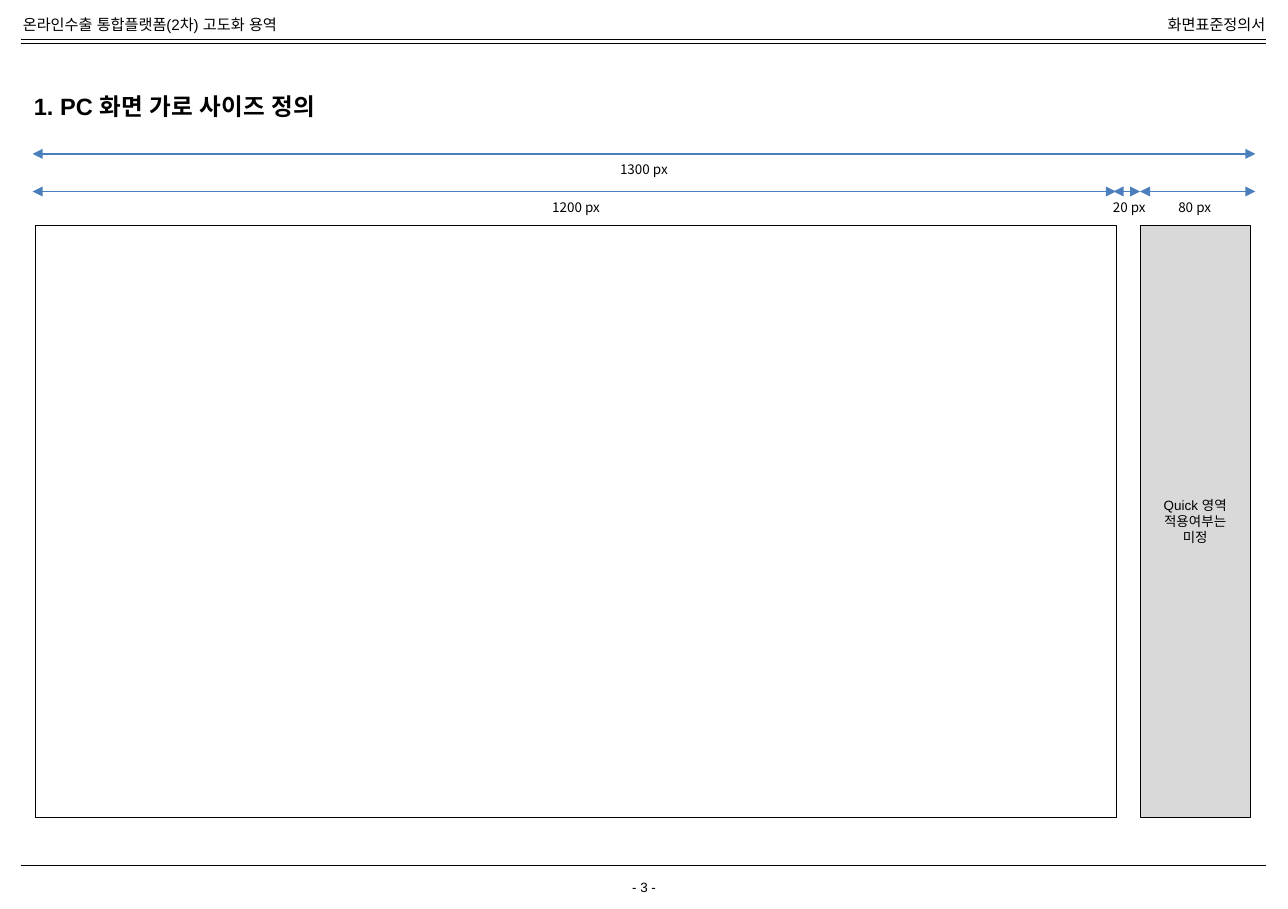
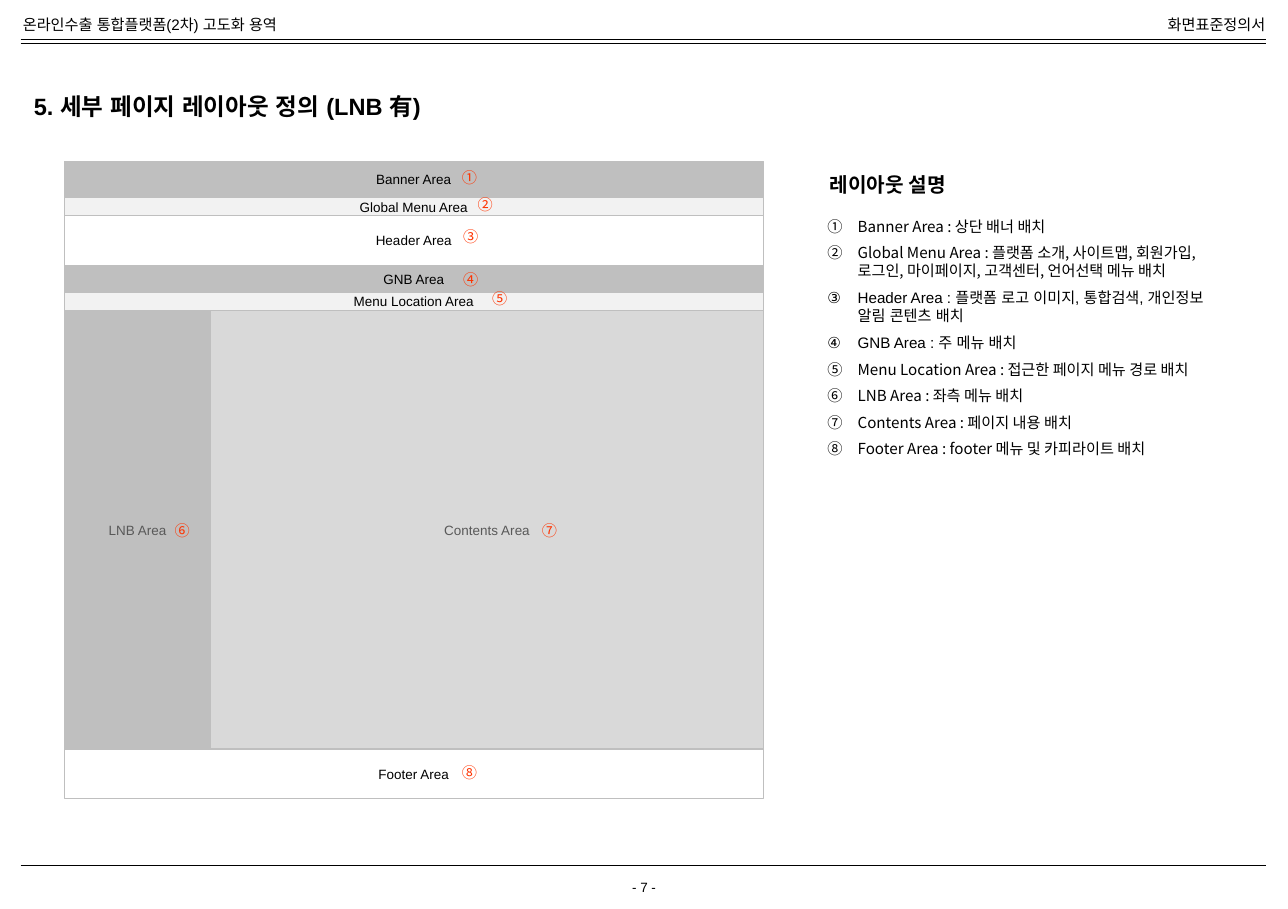
from dataclasses import dataclass
from itertools import accumulate
from typing import Any, Optional, Sequence

from lxml.etree import SubElement
from pptx import Presentation
from pptx.dml.color import RGBColor
from pptx.enum.shapes import MSO_CONNECTOR as Connector, MSO_SHAPE as Preset
from pptx.enum.text import MSO_ANCHOR as Anchor, MSO_AUTO_SIZE as AutoSize, PP_ALIGN as Align
from pptx.oxml.ns import qn
from pptx.util import Emu, Pt

EMU_PER_PX = 9144
ARIAL, NOTO = "Arial", "Noto Sans CJK KR"
BLACK, WHITE, BLUE, RED = "000000", "FFFFFF", "4B7EBC", "FF3300"
DARK, MIDDLE, PALE, MUTED = "BFBFBF", "D9D9D9", "F2F2F2", "595959"


@dataclass(frozen=True)
class Box:
    left: int
    top: int
    width: int
    height: int


@dataclass(frozen=True)
class TextStyle:
    size: int
    font: str = ARIAL
    color: str = BLACK
    bold: bool = False
    align: Align = Align.LEFT


@dataclass(frozen=True)
class Dimension:
    text: str
    start: int
    end: int
    y: int
    label_left: int
    label_width: int


@dataclass(frozen=True)
class Area:
    name: str
    box: Box
    fill: str
    mark: str
    mark_left: int
    mark_top: int
    color: str = BLACK


@dataclass(frozen=True)
class Note:
    text: str
    font: str = NOTO


HEADER = TextStyle(9)
HEADER_RIGHT = TextStyle(9, align=Align.RIGHT)
TITLE = TextStyle(14, bold=True)
CAPTION = TextStyle(8, align=Align.CENTER)
DIMENSION = TextStyle(8, NOTO, align=Align.CENTER)
MARK = TextStyle(9, NOTO, RED, align=Align.CENTER)
HEADING = TextStyle(12, NOTO, bold=True)

DIMENSIONS = (
    Dimension("1300 px", 27, 1036, 127, 501, 61),
    Dimension("1200 px", 27, 921, 158, 445, 61),
    Dimension("80 px", 941, 1036, 158, 962, 48),
    Dimension("20 px", 919, 941, 158, 908, 48),
)

PAGE_LEFT, PAGE_TOP, PAGE_WIDTH, MENU_WIDTH = 53, 133, 577, 121
ROW_HEIGHTS = (30, 15, 41, 22, 15, 362, 41)
ROW_TOPS = tuple(accumulate(ROW_HEIGHTS, initial=PAGE_TOP))


def row_box(row: int, offset: int = 0, width: int = PAGE_WIDTH) -> Box:
    return Box(PAGE_LEFT + offset, ROW_TOPS[row], width, ROW_HEIGHTS[row])


AREAS = (
    Area("Banner Area", row_box(0), DARK, "①", 371, 134),
    Area("Global Menu Area", row_box(1), PALE, "②", 384, 156),
    Area("Header Area", row_box(2), WHITE, "③", 372, 183),
    Area("GNB Area", row_box(3), DARK, "④", 372, 218),
    Area("Menu Location Area", row_box(4), PALE, "⑤", 396, 234),
    Area("LNB Area", row_box(5, 0, MENU_WIDTH), DARK, "⑥", 134, 425, MUTED),
    Area("Contents Area", row_box(5, MENU_WIDTH, PAGE_WIDTH - MENU_WIDTH),
         MIDDLE, "⑦", 437, 425, MUTED),
    Area("Footer Area", row_box(6), WHITE, "⑧", 371, 625),
)

NOTES = (
    Note("Banner Area : 상단 배너 배치"),
    Note("Global Menu Area : 플랫폼 소개, 사이트맵, 회원가입, 로그인, 마이페이지, 고객센터, 언어선택 메뉴 배치"),
    Note("Header Area : 플랫폼 로고 이미지, 통합검색, 개인정보 알림 콘텐츠 배치", ARIAL),
    Note("GNB Area : 주 메뉴 배치", ARIAL),
    Note("Menu Location Area : 접근한 페이지 메뉴 경로 배치"),
    Note("LNB Area : 좌측 메뉴 배치"),
    Note("Contents Area : 페이지 내용 배치"),
    Note("Footer Area : footer 메뉴 및 카피라이트 배치"),
)


def px(length: int) -> Emu:
    return Emu(length * EMU_PER_PX)


def rgb(color: str) -> RGBColor:
    return RGBColor.from_string(color)


def place(box: Box) -> tuple[Emu, Emu, Emu, Emu]:
    return px(box.left), px(box.top), px(box.width), px(box.height)


def set_values(target: Any, values: dict[str, Any]) -> None:
    for name, value in values.items():
        setattr(target, name, value)


def write_paragraph(paragraph: Any, text: str, style: TextStyle) -> None:
    paragraph.alignment = style.align
    run = paragraph.add_run()
    run.text = text
    set_values(run.font, {"name": style.font, "size": Pt(style.size), "bold": style.bold})
    run.font.color.rgb = rgb(style.color)
    SubElement(run.font._element, qn("a:ea"), typeface=style.font)


def write_lines(frame: Any, lines: Sequence[str], style: TextStyle) -> None:
    for index, line in enumerate(lines):
        paragraph = frame.add_paragraph() if index else frame.paragraphs[0]
        write_paragraph(paragraph, line, style)


def add_label(slide: Any, box: Box, text: str, style: TextStyle) -> None:
    frame = slide.shapes.add_textbox(*place(box)).text_frame
    set_values(frame, {"word_wrap": False, "auto_size": AutoSize.SHAPE_TO_FIT_TEXT})
    write_lines(frame, (text,), style)


def add_line(slide: Any, start: int, end: int, y: int, color: str = BLACK,
             weight: float = 0.25, arrows: bool = False) -> None:
    line = slide.shapes.add_connector(Connector.STRAIGHT, px(start), px(y), px(end), px(y))
    line.line.color.rgb = rgb(color)
    line.line.width = Pt(weight)
    if arrows:
        for tag in ("a:headEnd", "a:tailEnd"):
            SubElement(line.line._get_or_add_ln(), qn(tag), type="triangle")
    SubElement(line._element.spPr, qn("a:effectLst"))


def add_rectangle(slide: Any, box: Box, fill: Optional[str], outline: str, weight: float,
                  lines: Sequence[str] = (), style: TextStyle = CAPTION) -> None:
    shape = slide.shapes.add_shape(Preset.RECTANGLE, *place(box))
    shape.shadow.inherit = False
    if fill:
        shape.fill.solid()
        shape.fill.fore_color.rgb = rgb(fill)
    else:
        shape.fill.background()
    shape.line.color.rgb = rgb(outline)
    shape.line.width = Pt(weight)
    set_values(shape.text_frame, {
        "vertical_anchor": Anchor.MIDDLE, "word_wrap": True,
        "margin_left": px(8), "margin_right": px(8),
        "margin_top": px(5), "margin_bottom": px(5),
    })
    write_lines(shape.text_frame, lines, style)


def add_page(presentation: Any, title: str, number: int) -> Any:
    slide = presentation.slides.add_slide(presentation.slide_layouts[6])
    for y in (32, 36, 714):
        add_line(slide, 17, 1045, y)
    add_label(slide, Box(9, 8, 250, 25), "온라인수출 통합플랫폼(2차) 고도화 용역", HEADER)
    add_label(slide, Box(945, 8, 109, 25), "화면표준정의서", HEADER_RIGHT)
    add_label(slide, Box(497, 720, 69, 24), f"- {number} -", CAPTION)
    frame = slide.shapes.add_textbox(*place(Box(23, 68, 363, 39))).text_frame
    set_values(frame, {
        "vertical_anchor": Anchor.MIDDLE, "word_wrap": True,
        "margin_left": px(5), "margin_right": px(5),
        "margin_top": px(8), "margin_bottom": px(8),
    })
    write_lines(frame, (title,), TITLE)
    return slide


def add_notes_list(slide: Any, box: Box, notes: Sequence[Note]) -> None:
    frame = slide.shapes.add_textbox(*place(box)).text_frame
    frame.word_wrap = True
    for index, note in enumerate(notes):
        paragraph = frame.add_paragraph() if index else frame.paragraphs[0]
        write_paragraph(paragraph, note.text, TextStyle(9, note.font))
        paragraph.space_after = Pt(5)
        properties = paragraph._p.get_or_add_pPr()
        properties.set("marL", str(px(25)))
        properties.set("indent", str(px(-25)))
        SubElement(properties, qn("a:buAutoNum"), type="circleNumDbPlain")


def build_width_slide(presentation: Any) -> None:
    slide = add_page(presentation, "1. PC 화면 가로 사이즈 정의", 3)
    add_rectangle(slide, Box(29, 186, 892, 488), None, BLACK, 0.25)
    add_rectangle(slide, Box(941, 186, 91, 488), MIDDLE, BLACK, 0.25,
                  ("Quick 영역", "적용여부는", "미정"))
    for item in DIMENSIONS:
        add_line(slide, item.start, item.end, item.y, BLUE, 0.75, arrows=True)
        add_label(slide, Box(item.label_left, item.y + 1, item.label_width, 24),
                  item.text, DIMENSION)


def build_layout_slide(presentation: Any) -> None:
    slide = add_page(presentation, "5. 세부 페이지 레이아웃 정의 (LNB 有)", 7)
    add_label(slide, Box(675, 137, 127, 30), "레이아웃 설명", HEADING)
    add_notes_list(slide, Box(673, 174, 345, 211), NOTES)
    for area in AREAS:
        add_rectangle(slide, area.box, area.fill, DARK, 0.75, (area.name,),
                      TextStyle(8, color=area.color, align=Align.CENTER))
    for area in AREAS:
        add_label(slide, Box(area.mark_left, area.mark_top, 33, 25), area.mark, MARK)


def main() -> None:
    presentation = Presentation()
    set_values(presentation, {"slide_width": px(1063), "slide_height": px(750)})
    build_width_slide(presentation)
    build_layout_slide(presentation)
    presentation.save("out.pptx")


if __name__ == "__main__":
    main()
